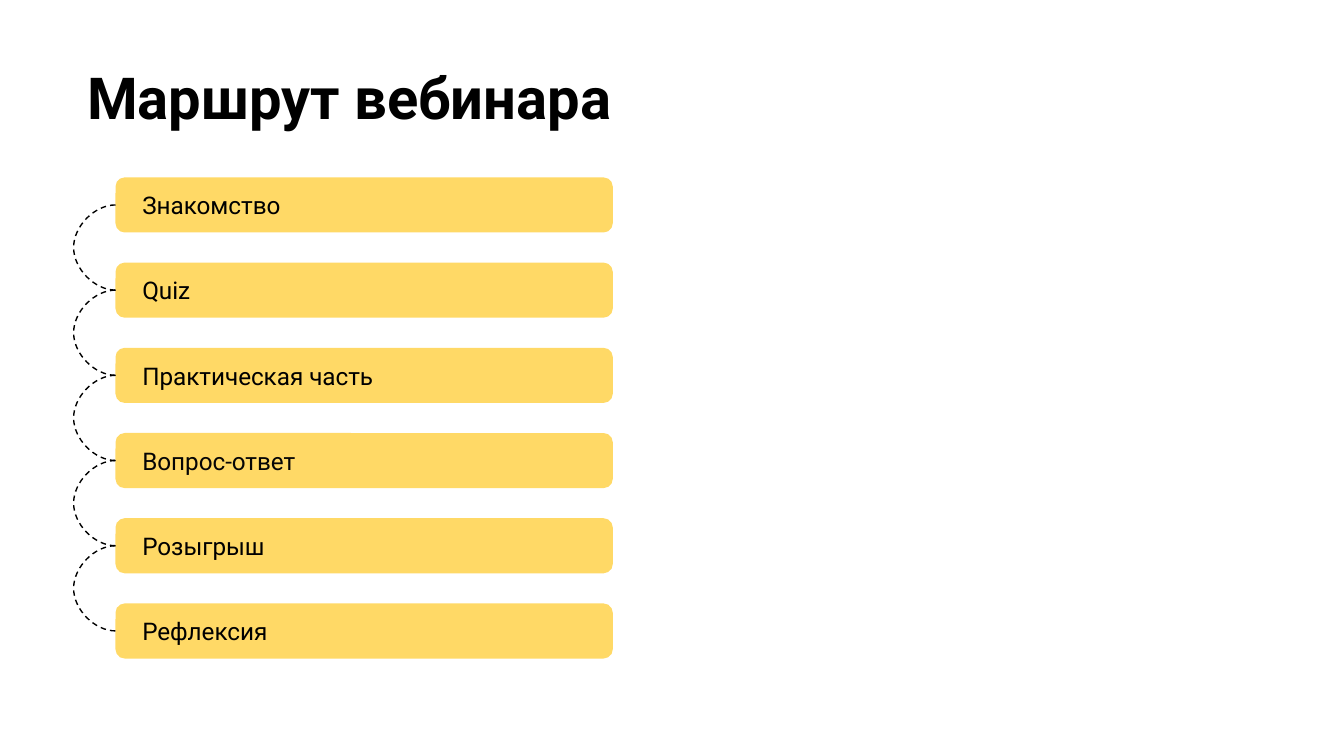
from itertools import pairwise
from lxml import etree
from pptx import Presentation, util as u
from pptx.dml.color import RGBColor
from pptx.enum import dml, shapes, text
from pptx.oxml.ns import qn

TITLE = "Маршрут вебинара"
STEPS = [
    ("Знакомство", "000000"),
    ("Quiz", "000000"),
    ("Практическая часть", "000000"),
    ("Вопрос-ответ", "050505"),
    ("Розыгрыш", "000000"),
    ("Рефлексия", "000000"),
]
WIDE = 10
HIGH = WIDE * 9 / 16
LEFT, TOP, BAR_W, BAR_H = 0.86, 1.32, 3.7, 0.41
LAST = 4.49
PITCH = (LAST - TOP) / (len(STEPS) - 1)
BULGE = 0.26
SLIM = 600  # EMU; the bend is a multiple of the connector's width


def color(code):
    return RGBColor.from_string(code)


def write(shape, words, size, code, side, bold=False):
    frame = shape.text_frame
    frame.text = words
    frame.word_wrap = True
    frame.auto_size = text.MSO_AUTO_SIZE.NONE
    frame.margin_left = frame.margin_right = u.Inches(side)
    frame.margin_top = frame.margin_bottom = u.Inches(0.1)
    line = frame.paragraphs[0]
    line.alignment = text.PP_ALIGN.LEFT
    font = line.runs[0].font
    font.name, font.size, font.bold = "Roboto", u.Pt(size), bold
    font.color.rgb = color(code)
    return frame


def add_bar(slide, row, words, code):
    bar = slide.shapes.add_shape(
        shapes.MSO_SHAPE.ROUNDED_RECTANGLE, u.Inches(LEFT),
        u.Inches(TOP + row * PITCH), u.Inches(BAR_W), u.Inches(BAR_H))
    bar.shadow.inherit = False
    bar.fill.solid()
    bar.fill.fore_color.rgb = color("FFD966")
    bar.line.fill.background()
    frame = write(bar, words, 13, code, 0.18)
    frame.vertical_anchor = text.MSO_ANCHOR.MIDDLE
    return bar


def add_arc(slide, start, end):
    """Join the left sides of two bars with a dashed curve bulging left."""
    arc = slide.shapes.add_connector(
        shapes.MSO_CONNECTOR.CURVE, start.left, start.top, end.left, end.top)
    arc.begin_connect(start, 1)
    arc.end_connect(end, 1)
    arc.width = SLIM
    arc.line.color.rgb = color("000000")
    arc.line.width = u.Pt(0.75)
    arc.line.dash_style = dml.MSO_LINE.DASH
    props = arc._element.spPr
    etree.SubElement(props, qn("a:effectLst"))
    bend = -round(u.Inches(BULGE) / SLIM * 100000)
    guides = props.find(qn("a:prstGeom")).find(qn("a:avLst"))
    etree.SubElement(guides, qn("a:gd"), name="adj1", fmla=f"val {bend}")


def main():
    deck = Presentation()
    deck.slide_width, deck.slide_height = u.Inches(WIDE), u.Inches(HIGH)
    slide = deck.slides.add_slide(deck.slide_layouts[5])

    title = slide.shapes.title
    title.left, title.top = u.Inches(0.55), u.Inches(0.36)
    title.width, title.height = u.Inches(9.32), u.Inches(1.2)
    frame = write(title, TITLE, 31, "000000", 0.1, bold=True)
    frame.vertical_anchor = text.MSO_ANCHOR.TOP

    bars = [add_bar(slide, row, *step) for row, step in enumerate(STEPS)]
    for start, end in pairwise(bars):
        add_arc(slide, start, end)

    deck.save("out.pptx")


if __name__ == "__main__":
    main()
